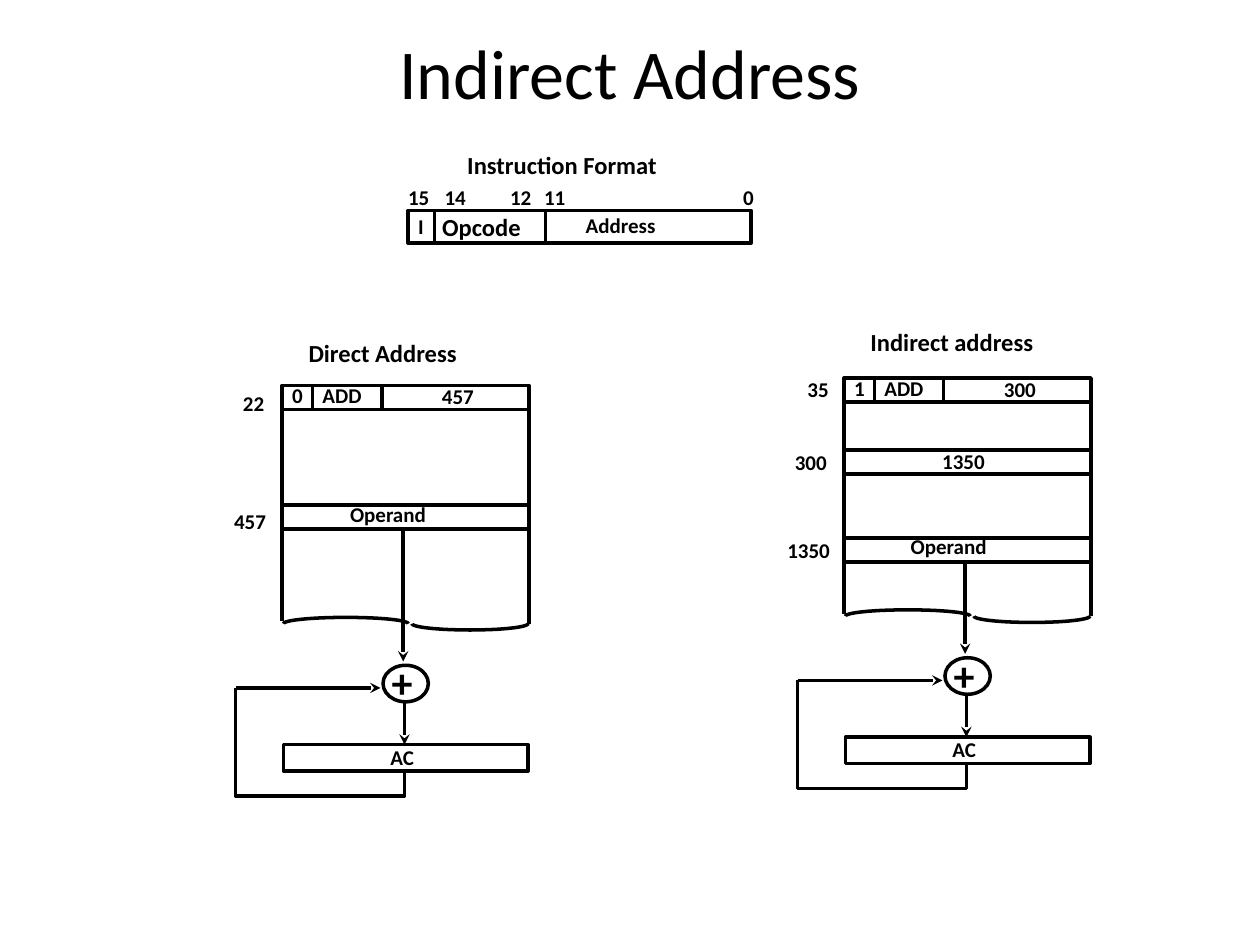
import math

from lxml import etree
from pptx import Presentation
from pptx.dml.color import RGBColor
from pptx.enum.shapes import MSO_CONNECTOR, MSO_SHAPE
from pptx.enum.text import MSO_ANCHOR, MSO_AUTO_SIZE, PP_ALIGN
from pptx.oxml.ns import qn
from pptx.util import Emu, Pt

STRAIGHT = MSO_CONNECTOR.STRAIGHT
RECTANGLE, OVAL = MSO_SHAPE.RECTANGLE, MSO_SHAPE.OVAL
MIDDLE, CENTER, LEFT = MSO_ANCHOR.MIDDLE, PP_ALIGN.CENTER, PP_ALIGN.LEFT
FIT_SHAPE = MSO_AUTO_SIZE.SHAPE_TO_FIT_TEXT

SCALE = 9144  # EMU in one px, 100 px to the inch
FONT = "Calibri"
COLORS = {"ink": "000000", "paper": "FFFFFF"}
TEXT_HEIGHTS = {12: 28, 14: 31, 24: 46}
MEMORY_WIDTH, ROW_HEIGHT, MEMORY_HEIGHT = 196, 19, 189


def px(length):
    return Emu(round(length * SCALE))


def color(name):
    return RGBColor.from_string(COLORS[name])


def add_span(para, text, size, bold):
    span = para.add_run()
    span.text = text
    span.font.name, span.font.size, span.font.bold = FONT, Pt(size), bold
    span.font.color.rgb = color("ink")


def add_title(page, text):
    title = page.shapes.title
    title.left, title.top, title.width, title.height = map(px, (50, 13, 900, 87))
    title.text_frame.vertical_anchor = MIDDLE
    para = title.text_frame.paragraphs[0]
    para.alignment = CENTER
    add_span(para, text, 40, False)


def add_label(page, text, left, top, width, size=12):
    """Add one line of bold text; no right inset, so that it never wraps."""
    box = page.shapes.add_textbox(px(left), px(top), px(width), px(TEXT_HEIGHTS[size]))
    box.text_frame.word_wrap = True
    box.text_frame.auto_size = FIT_SHAPE
    box.text_frame.margin_right = 0
    para = box.text_frame.paragraphs[0]
    para.alignment = LEFT
    para.line_spacing = 0.9
    add_span(para, text, size, True)


def add_number(page, text, left, top):
    """Add a label whose width follows from its count of digits."""
    add_label(page, text, left, top, 20 + 8.5 * len(text))


def set_outline(shape):
    shape.line.color.rgb = color("ink")
    shape.line.width = Pt(2)


def add_outlined(page, kind, left, top, width, height):
    shape = page.shapes.add_shape(kind, px(left), px(top), px(width), px(height))
    shape.shadow.inherit = False
    shape.fill.solid()
    shape.fill.fore_color.rgb = color("paper")
    set_outline(shape)


def add_line(page, start, end, arrow=False):
    line = page.shapes.add_connector(STRAIGHT, *map(px, start + end))
    set_outline(line)
    if arrow:
        etree.SubElement(line.line._get_or_add_ln(), qn("a:tailEnd"), type="stealth")
    etree.SubElement(line._element.spPr, qn("a:effectLst"))


def add_path(page, points):
    """Draw an open, unfilled line through the points."""
    points = [(px(x), px(y)) for x, y in points]
    builder = page.shapes.build_freeform(*points[0])
    builder.add_line_segments(points[1:], close=False)
    shape = builder.convert_to_shape()
    shape.shadow.inherit = False
    shape.fill.background()
    set_outline(shape)


def add_half_wave(page, left, right, middle, rise):
    """Draw half an ellipse, upwards for a positive rise."""
    radius, steps = (right - left) / 2, 32
    angles = [math.pi * step / steps for step in range(steps + 1)]
    add_path(page, [(left + radius * (1 - math.cos(angle)),
                     middle - rise * math.sin(angle)) for angle in angles])


def add_instruction_format(page):
    add_label(page, "Instruction Format", 361, 117, 171, 14)
    add_outlined(page, RECTANGLE, 324, 167, 272, 26)
    for x in (345, 433):
        add_line(page, (x, 167), (x, 193))
    add_label(page, "I", 322, 167, 24)
    add_label(page, "Opcode", 341, 166, 82, 14)
    add_label(page, "Address", 455, 166, 75)
    for bit, left in (("15", 314), ("14", 343), ("12", 395), ("11", 422), ("0", 580)):
        add_number(page, bit, left, 144)


def add_memory(page, left, top, instruction, rows):
    """Draw the torn memory block; rows are (offset, content, text left, width, rise)."""
    right, bottom = left + MEMORY_WIDTH, top + MEMORY_HEIGHT
    add_path(page, [(left, bottom - 2), (left, top), (right, top), (right, bottom)])
    add_half_wave(page, left + 1, left + 100, bottom, 5)
    add_half_wave(page, left + 103, right - 1, bottom, -5)

    flag, opcode, address = instruction
    for x in (left + 24, left + 79):
        add_line(page, (x, top), (x, top + ROW_HEIGHT))
    add_number(page, flag, left - 2, top - 5)
    add_label(page, opcode, left + 22, top - 5, 51)
    add_number(page, address, left + 117, top - 4)

    edges = [ROW_HEIGHT]
    for offset, content, text_left, width, rise in rows:
        edges += [offset, offset + ROW_HEIGHT]
        add_label(page, content, left + text_left, top + offset - rise, width)
    for edge in edges:
        add_line(page, (left + 1, top + edge), (right - 1, top + edge))


def add_accumulator(page, left, top, operand_offset):
    """Draw the adder, the AC register and its feedback below a memory block."""
    middle, loop = left + 97, left - 37
    add_outlined(page, OVAL, left + 80, top + 222, 36, 29)
    add_label(page, "+", left + 77, top + 215, 36, 24)
    add_outlined(page, RECTANGLE, left + 1, top + 285, 194, 21)
    add_label(page, "AC", left + 76, top + 282, 39)
    add_path(page, [(middle, top + 307), (middle, top + 326),
                    (loop, top + 326), (loop, top + 240)])
    add_line(page, (loop, top + 240), (left + 78, top + 240), arrow=True)
    add_line(page, (left + 96, top + operand_offset + ROW_HEIGHT + 1),
             (left + 96, top + 219), arrow=True)
    add_line(page, (middle, top + 251), (middle, top + 285), arrow=True)


def main():
    deck = Presentation()
    deck.slide_width, deck.slide_height = px(1000), px(750)
    page = deck.slides.add_slide(deck.slide_layouts[5])
    add_title(page, "Indirect Address")
    add_instruction_format(page)

    add_label(page, "Direct Address", 235, 266, 138, 14)
    add_memory(page, 224, 306, ("0", "ADD", "457"), [(95, "Operand", 44, 80, 6)])
    add_accumulator(page, 224, 306, 95)

    add_label(page, "Indirect address", 681, 257, 150, 14)
    add_memory(page, 670, 300, ("1", "ADD", "300"),
               [(57, "1350", 68, 54, 4), (127, "Operand", 43, 80, 6)])
    add_accumulator(page, 670, 300, 127)

    for address, left, top in (("22", 183, 307), ("457", 176, 401), ("35", 631, 296),
                               ("300", 621, 354), ("1350", 615, 424)):
        add_number(page, address, left, top)
    deck.save("out.pptx")


if __name__ == "__main__":
    main()
